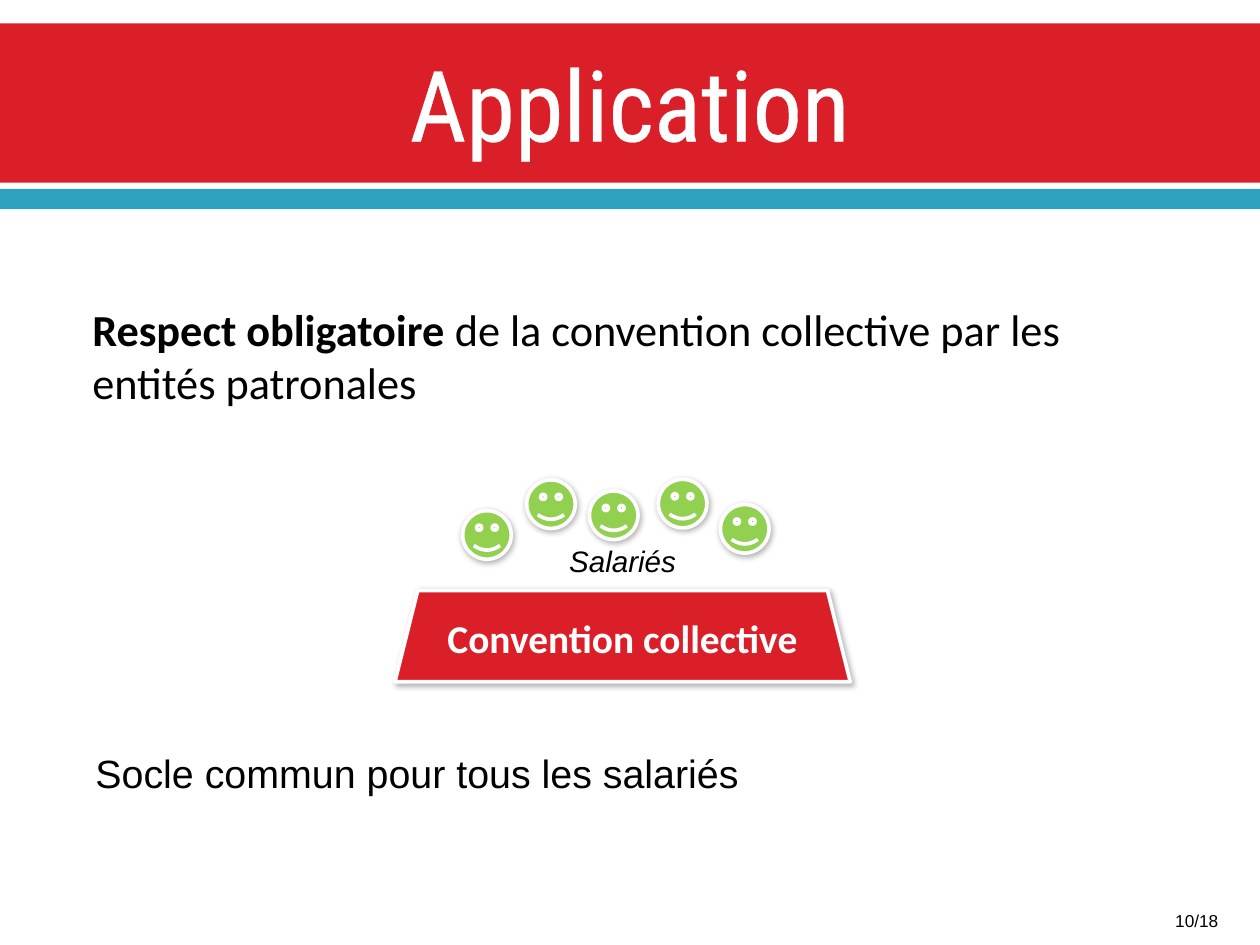
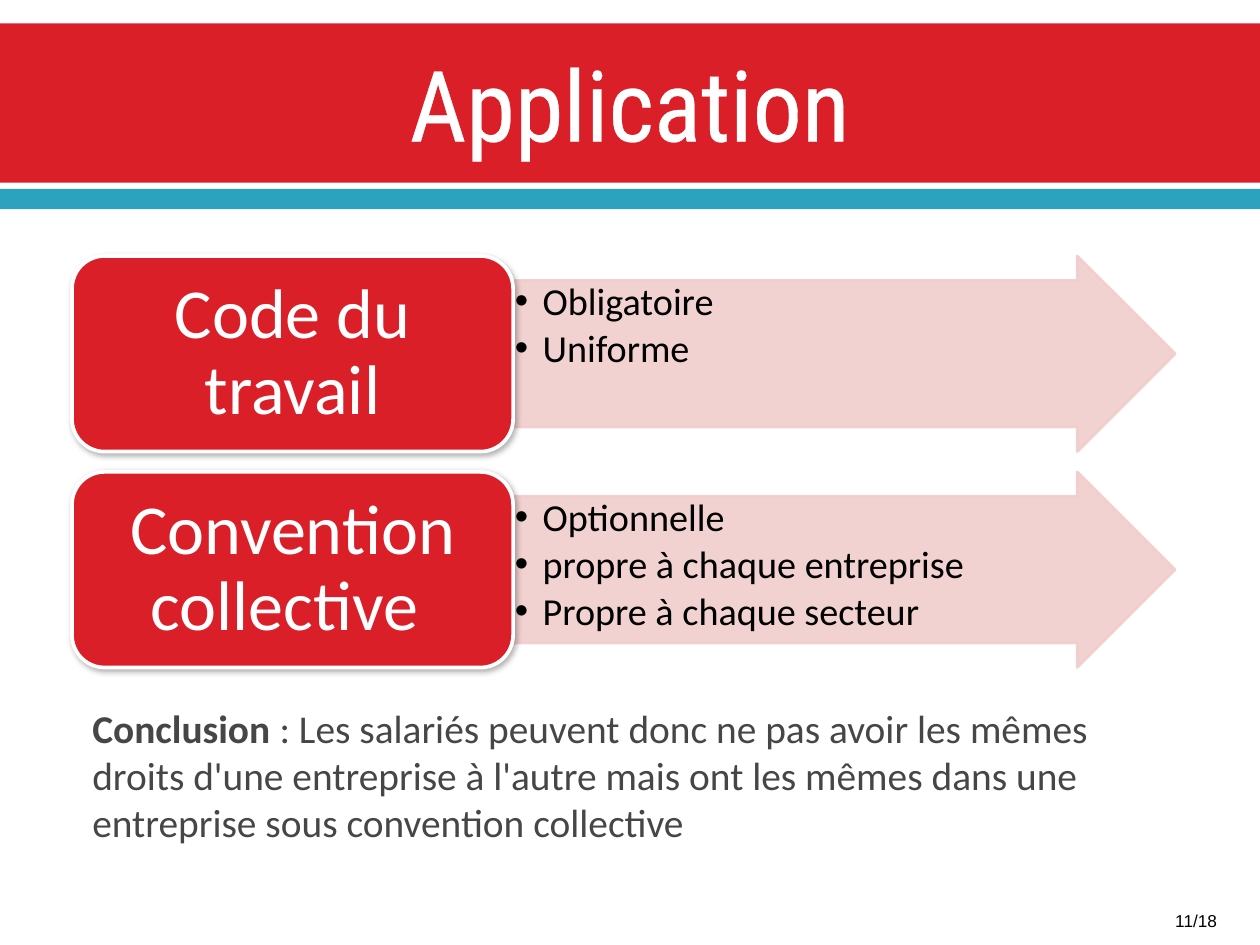
from dataclasses import dataclass

from lxml import etree
from pptx import Presentation
from pptx.dml.color import RGBColor
from pptx.enum.shapes import MSO_SHAPE
from pptx.enum.text import MSO_ANCHOR, PP_ALIGN
from pptx.oxml.ns import qn
from pptx.util import Pt

RECT = MSO_SHAPE.RECTANGLE
ROUNDED = MSO_SHAPE.ROUNDED_RECTANGLE
TRAPEZOID = MSO_SHAPE.TRAPEZOID
SMILEY = MSO_SHAPE.SMILEY_FACE
ARROW = MSO_SHAPE.RIGHT_ARROW
TOP, MIDDLE = MSO_ANCHOR.TOP, MSO_ANCHOR.MIDDLE
LEFT, CENTER = PP_ALIGN.LEFT, PP_ALIGN.CENTER


@dataclass(frozen=True)
class Theme:
    red: str = "DA1F28"
    blue: str = "2DA2BF"
    pink: str = "F1CDCD"
    green: str = "92D050"
    white: str = "FFFFFF"
    black: str = "000000"
    grey: str = "464646"
    title_font: str = "Roboto Condensed"
    body_font: str = "Calibri"
    plain_font: str = "Arial"
    title: float = 80
    topic: float = 57
    lead: float = 36
    text: float = 32
    bullet: float = 31
    caption: float = 24
    page: float = 14


def child(parent, tag, **attributes):
    return etree.SubElement(parent, qn(tag), {k: str(v) for k, v in attributes.items()})


class Deck:
    margin = (7.2, 3.6)

    def __init__(self, theme):
        self.theme = theme
        self.show = Presentation()
        self.show.slide_width, self.show.slide_height = Pt(1024), Pt(768)
        self.slide = None

    def new_slide(self, title, page):
        t = self.theme
        self.slide = self.show.slides.add_slide(self.show.slide_layouts[6])
        self.shape(RECT, (0, 19, 1024, 129.5), t.red)
        self.shape(RECT, (0, 153.5, 1024, 16.5), t.blue)
        heading = self.text((75, 35, 874, 170), [[(title, False)]], t.title, t.white,
                            font=t.title_font, align=CENTER, inset=(0, 0))
        properties = heading[0].runs[0].font._element
        outline = etree.Element(qn("a:ln"), w=str(Pt(1.1)))
        child(child(outline, "a:solidFill"), "a:srgbClr", val=t.white)
        properties.insert(0, outline)
        self.text((948, 736, 76, 24), [[(page, False)]], t.page, t.black, font=t.plain_font)

    def shape(self, kind, box, fill, line=None, width=3, shadow=False, alpha=None):
        item = self.slide.shapes.add_shape(kind, *map(Pt, box))
        item.fill.solid()
        item.fill.fore_color.rgb = RGBColor.from_string(fill)
        if line:
            item.line.color.rgb = RGBColor.from_string(line)
            item.line.width = Pt(width)
        else:
            item.line.fill.background()
        item.shadow.inherit = False
        properties = item._element.spPr
        if alpha:
            for color in properties.iter(qn("a:srgbClr")):
                child(color, "a:alpha", val=alpha * 1000)
        if shadow:
            outer = child(properties.find(qn("a:effectLst")), "a:outerShdw",
                          blurRad=Pt(5), dist=Pt(2), dir=60 * 60000, rotWithShape=0)
            child(child(outer, "a:srgbClr", val=self.theme.black), "a:alpha", val=30000)
        return item

    def raised(self, kind, box, fill):
        return self.shape(kind, box, fill, self.theme.white, shadow=True)

    def text(self, box, paragraphs, size, color, **style):
        area = self.slide.shapes.add_textbox(*map(Pt, box))
        return self.fill_text(area.text_frame, paragraphs, size, color, **style)

    def fill_text(self, frame, paragraphs, size, color, font=None, align=LEFT, anchor=TOP,
                  inset=margin, italic=False, spacing=None):
        frame.word_wrap = True
        frame.vertical_anchor = anchor
        frame.margin_left = frame.margin_right = Pt(inset[0])
        frame.margin_top = frame.margin_bottom = Pt(inset[1])
        for index, runs in enumerate(paragraphs):
            paragraph = frame.add_paragraph() if index else frame.paragraphs[0]
            paragraph.alignment = align
            if spacing:
                paragraph.line_spacing = spacing
            for words, bold in runs:
                run = paragraph.add_run()
                run.text = words
                run.font.name = font or self.theme.body_font
                run.font.size = Pt(size)
                run.font.bold = bold
                run.font.italic = italic
                run.font.color.rgb = RGBColor.from_string(color)
        return frame.paragraphs

    def bullets(self, frame, points):
        t = self.theme
        lines = self.fill_text(frame, [[(point, False)] for point in points], t.bullet, t.black,
                               inset=(1.5, 1.5), spacing=0.9)
        for line in lines:
            line.level = 1
            line.space_after = Pt(t.bullet * 0.15)
            properties = line._p.get_or_add_pPr()
            properties.set("marL", str(Pt(22.5)))
            properties.set("indent", str(Pt(-22.5)))
            child(properties, "a:buFont", typeface=t.plain_font)
            child(properties, "a:buChar", char="•")

    def topic(self, top, name, points):
        t = self.theme
        arrow = self.shape(ARROW, (417, top, 538, 159), t.pink, t.pink, 2.22, alpha=90)
        arrow.adjustments[0], arrow.adjustments[1] = 0.75, 0.5
        self.bullets(arrow.text_frame, points)
        label = self.raised(ROUNDED, (58.5, top, 358.5, 159), t.red)
        self.fill_text(label.text_frame, [[(name, False)]], t.topic, t.white, align=CENTER,
                       anchor=MIDDLE, inset=(17, 9), spacing=0.9)


def main():
    theme = Theme()
    deck = Deck(theme)

    deck.new_slide("Application", "10/18")
    deck.text((75, 205, 874, 168),
              [[("Respect obligatoire ", True),
                ("de la convention collective par les entités patronales", False)]],
              theme.lead, theme.black, anchor=MIDDLE, inset=(0, 0))
    base = deck.raised(TRAPEZOID, (321, 480, 370, 74), theme.red)
    deck.fill_text(base.text_frame, [[("Convention collective", True)]], theme.text,
                   theme.white, align=CENTER, anchor=MIDDLE)
    deck.text((381.5, 438, 249, 36), [[("Salariés", False)]], theme.caption, theme.black,
              font=theme.plain_font, align=CENTER, italic=True)
    deck.text((70.5, 605, 872, 46), [[("Socle commun pour tous les salariés", False)]],
              theme.text, theme.black, font=theme.plain_font)
    for left, top in ((376, 415), (428, 390), (479, 399), (535, 389.5), (585.5, 410)):
        deck.raised(SMILEY, (left, top, 39.5, 39.5), theme.green)

    deck.new_slide("Application", "11/18")
    topics = (
        ("Code du travail", ("Obligatoire", "Uniforme")),
        ("Convention collective ",
         ("Optionnelle", "propre à chaque entreprise", "Propre à chaque secteur")),
    )
    for row, (name, points) in enumerate(topics):
        deck.topic(208 + row * 175.5, name, points)
    deck.text((75, 559.5, 874, 140),
              [[("Conclusion ", True),
                (": Les salariés peuvent donc ne pas avoir les mêmes droits d'une entreprise "
                 "à l'autre mais ont les mêmes dans une entreprise sous convention collective",
                 False)]],
              theme.text, theme.grey, anchor=MIDDLE, inset=(0, 0))

    deck.show.save("out.pptx")


if __name__ == "__main__":
    main()
